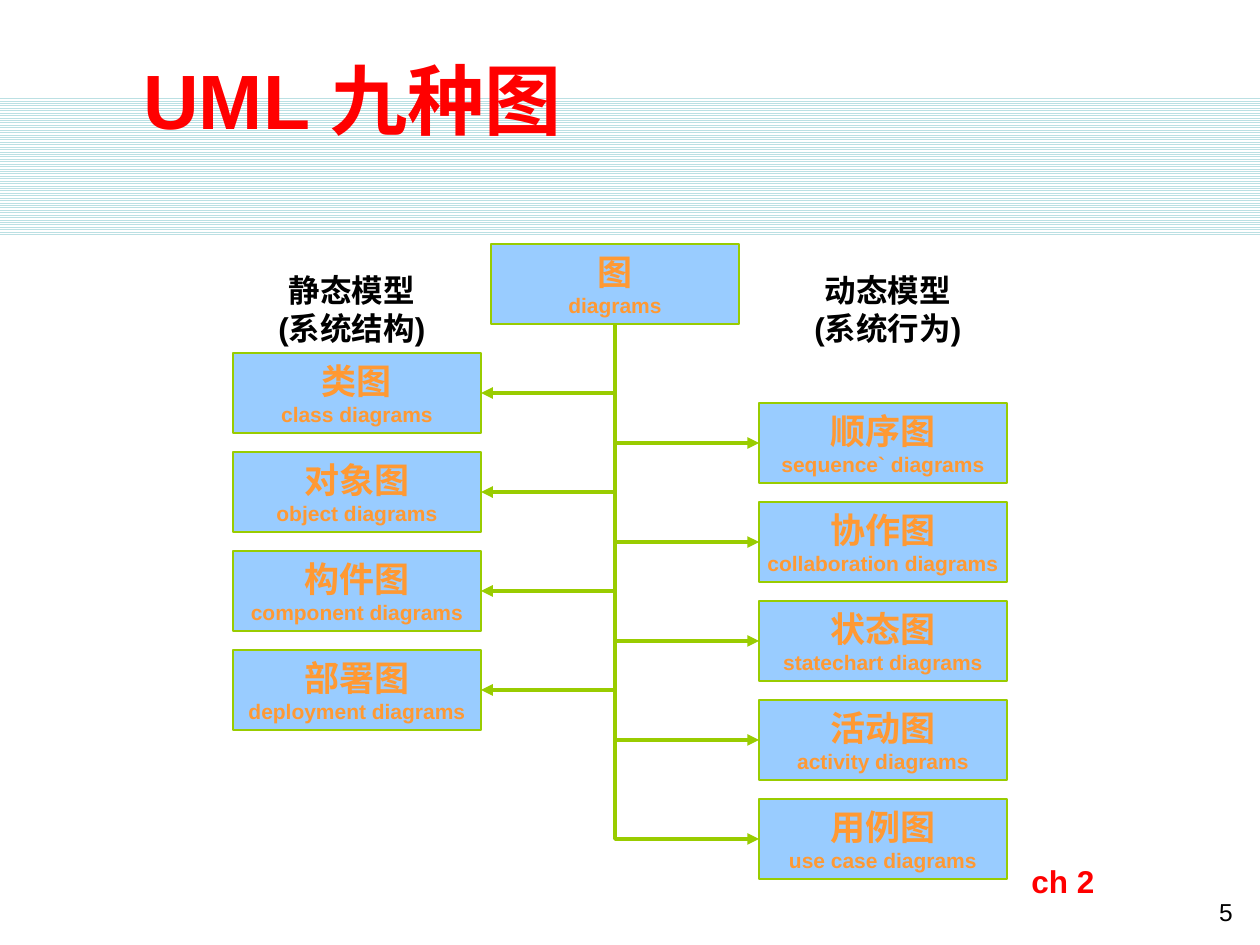
from dataclasses import dataclass

from lxml.etree import SubElement
from pptx import Presentation
from pptx.dml.color import RGBColor
from pptx.enum.dml import MSO_PATTERN
from pptx.enum.shapes import MSO_CONNECTOR, MSO_SHAPE
from pptx.enum.text import MSO_ANCHOR as Anchor, PP_ALIGN as Align
from pptx.oxml.ns import qn
from pptx.util import Emu, Pt

EMU_PER_INCH, PX_PER_INCH = 914400, 126


def px(count):
    return Emu(round(count * EMU_PER_INCH / PX_PER_INCH))


@dataclass(frozen=True)
class Theme:
    font: str = "Arial"
    red: str = "FF0000"
    black: str = "000000"
    white: str = "FFFFFF"
    stripe: str = "BBE0E3"
    box_fill: str = "99CCFF"
    box_text: str = "FF9933"
    green: str = "99CC00"
    title: int = 44
    name: int = 20
    label: int = 18
    number: int = 14
    caption: int = 12
    border: float = 1.5
    link: float = 2.25


class SlideBuilder:
    def __init__(self, page, theme):
        self.page, self.theme = page, theme

    def fill_paragraph(self, paragraph, text, size, color, bold=True, align=Align.LEFT):
        """Fill a paragraph; a newline in the text becomes a line break."""
        paragraph.alignment = align
        for index, line in enumerate(text.split("\n")):
            if index:
                paragraph.add_line_break()
            span = paragraph.add_run()
            span.text = line
            style = {"name": self.theme.font, "size": Pt(size), "bold": bold}
            for key, value in style.items():
                setattr(span.font, key, value)
            span.font.color.rgb = RGBColor.from_string(color)

    def text(self, bounds, text, size, color, anchor=Anchor.TOP, **style):
        box = self.page.shapes.add_textbox(*map(px, bounds))
        frame = box.text_frame
        frame.word_wrap, frame.vertical_anchor = True, anchor
        self.fill_paragraph(frame.paragraphs[0], text, size, color, **style)

    def band(self, bounds):
        band = self.page.shapes.add_shape(MSO_SHAPE.RECTANGLE, *map(px, bounds))
        band.shadow.inherit = False
        band.line.fill.background()
        band.fill.patterned()
        band.fill.pattern = MSO_PATTERN.LIGHT_HORIZONTAL
        band.fill.fore_color.rgb = RGBColor.from_string(self.theme.stripe)
        band.fill.back_color.rgb = RGBColor.from_string(self.theme.white)

    def node(self, bounds, name, caption):
        theme = self.theme
        box = self.page.shapes.add_shape(MSO_SHAPE.RECTANGLE, *map(px, bounds))
        box.shadow.inherit = False
        box.fill.solid()
        box.fill.fore_color.rgb = RGBColor.from_string(theme.box_fill)
        box.line.color.rgb = RGBColor.from_string(theme.green)
        box.line.width = Pt(theme.border)
        frame = box.text_frame
        frame.word_wrap, frame.vertical_anchor = False, Anchor.MIDDLE
        style = {"color": theme.box_text, "align": Align.CENTER}
        self.fill_paragraph(frame.paragraphs[0], name, theme.name, **style)
        self.fill_paragraph(frame.add_paragraph(), caption, theme.caption, **style)
        return box

    def link(self, parent, child, child_site):
        """Run an arrow down from the parent, then sideways into the child."""
        line = self.page.shapes.add_connector(MSO_CONNECTOR.ELBOW, 0, 0, 0, 0)
        line.begin_connect(parent, 2)
        line.end_connect(child, child_site)
        across, down = line.end_x - line.begin_x, line.end_y - line.begin_y
        middle_x, middle_y = line.begin_x + across // 2, line.begin_y + down // 2

        # A one-bend connector starts sideways, so it is turned to start downwards
        geometry = {"width": down, "height": abs(across),
                    "left": middle_x - down // 2, "top": middle_y - abs(across) // 2}
        for key, value in geometry.items():
            setattr(line, key, Emu(value))
        properties = line.element.spPr
        properties.find(qn("a:prstGeom")).set("prst", "bentConnector2")
        transform = properties.find(qn("a:xfrm"))
        turn = {"rot": "5400000", "flipH": "0"} if across < 0 else {"rot": "16200000", "flipH": "1"}
        for key, value in {**turn, "flipV": "0"}.items():
            transform.set(key, value)

        line.line.color.rgb = RGBColor.from_string(self.theme.green)
        line.line.width = Pt(self.theme.link)
        SubElement(properties.find(qn("a:ln")), qn("a:tailEnd"), type="triangle")
        SubElement(properties, qn("a:effectLst"))


BOX_WIDTH, BOX_HEIGHT, ROW_PITCH = 248, 80, 99
LEFT_SITE, RIGHT_SITE = 1, 3

# Each branch: label and its left edge, box left edge, first top, site, diagrams
BRANCHES = [
    ("静态模型\n(系统结构)", 233, 233, 353, RIGHT_SITE, [
        ("类图", "class diagrams"),
        ("对象图", "object diagrams"),
        ("构件图", "component diagrams"),
        ("部署图", "deployment diagrams"),
    ]),
    ("动态模型\n(系统行为)", 769, 759, 403, LEFT_SITE, [
        ("顺序图", "sequence` diagrams"),
        ("协作图", "collaboration diagrams"),
        ("状态图", "statechart diagrams"),
        ("活动图", "activity diagrams"),
        ("用例图", "use case diagrams"),
    ]),
]


def main():
    deck = Presentation()
    deck.slide_width, deck.slide_height = px(1260), px(945)
    theme = Theme()
    builder = SlideBuilder(deck.slides.add_slide(deck.slide_layouts[6]), theme)

    # Heading and page number
    builder.band((0, 96, 1260, 139))
    builder.text((131, 52, 1029, 93), "UML 九种图", theme.title, theme.red, Anchor.MIDDLE)
    builder.text((951, 891, 294, 47), "5", theme.number, theme.black, bold=False, align=Align.RIGHT)

    # Diagram tree
    root = builder.node((491, 244, BOX_WIDTH, BOX_HEIGHT), "图", "diagrams")
    for label, label_left, left, top, site, diagrams in BRANCHES:
        for row, (name, caption) in enumerate(diagrams):
            bounds = (left, top + row * ROW_PITCH, BOX_WIDTH, BOX_HEIGHT)
            builder.link(root, builder.node(bounds, name, caption), site)
        builder.text((label_left, 265, 238, 88), label, theme.label, theme.black, align=Align.CENTER)

    # Chapter mark
    builder.text((1019, 856, 158, 50), "ch 2", theme.label, theme.red)

    deck.save("out.pptx")


if __name__ == "__main__":
    main()
